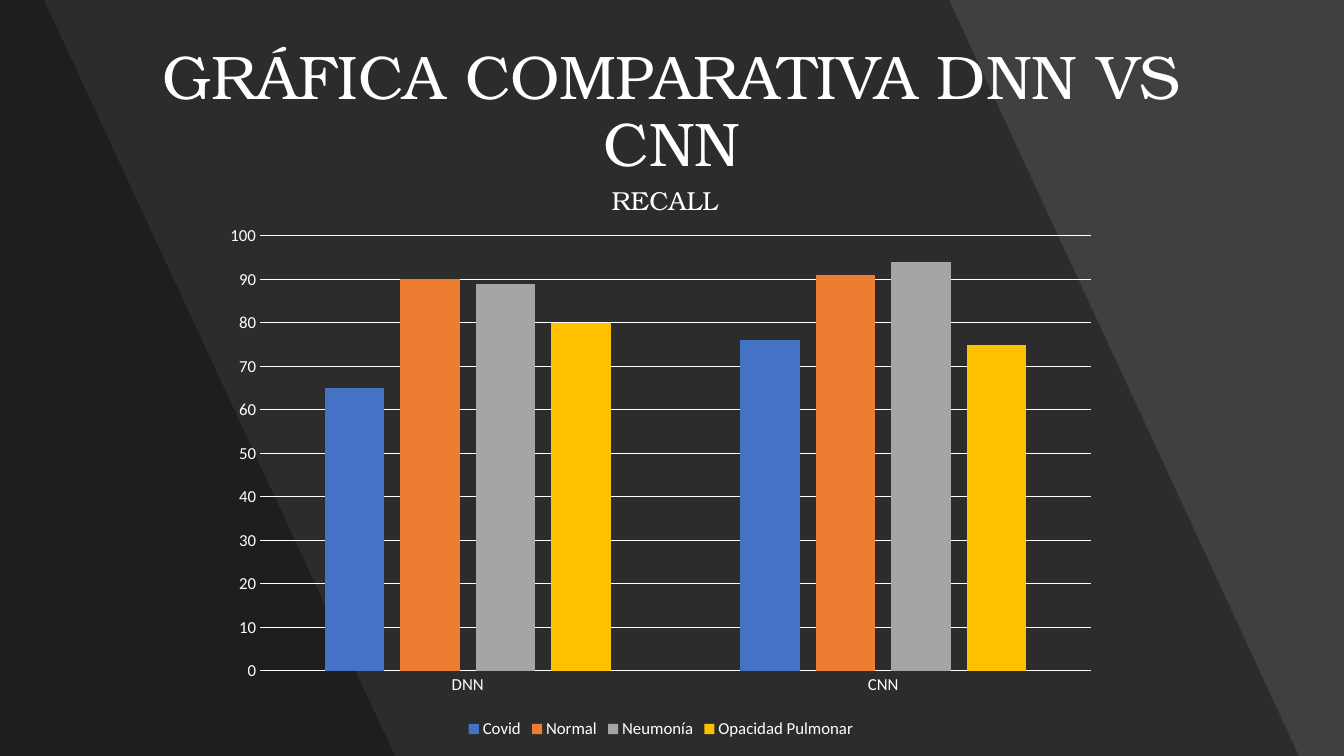
import lxml.etree
import pptx
import pptx.chart.data
import pptx.dml.color
import pptx.enum.chart
import pptx.enum.text
import pptx.oxml
import pptx.oxml.ns
import pptx.util

PX = 914400 / 100.8
THEME = {
    "background": "404040",
    "shade": "000000",
    "shade_alpha": 30000,
    "text": "FFFFFF",
    "heading_font": "TeX Gyre Bonum",
    "body_font": "Calibri",
    "title_size": 44,
    "chart_title_size": 18.6,
    "label_size": 12,
    "chart_size": 10,
    "line_width": 0.75,
}
SERIES = [
    ("Covid", (65, 76), "4472C4"),
    ("Normal", (90, 91), "ED7D31"),
    ("Neumonía", (89, 94), "A5A5A5"),
    ("Opacidad Pulmonar", (80, 75), "FFC000"),
]
CHART_BOX = (213, 145, 896, 598)
TEXT_COLOR = pptx.dml.color.RGBColor.from_string(THEME["text"])


def style_font(font, name, size):
    for attribute, value in {"name": name, "size": pptx.util.Pt(size), "bold": False}.items():
        setattr(font, attribute, value)
    font.color.rgb = TEXT_COLOR


def place_in_chart(element, index, **edges):
    """Give a chart part a fixed place; edges are slide px for x, y, w and h."""
    for old_layout in element.findall(pptx.oxml.ns.qn("c:layout")):
        element.remove(old_layout)
    left, top, width, height = CHART_BOX
    fractions = {
        "x": lambda px: (px - left) / width,
        "y": lambda px: (px - top) / height,
        "w": lambda px: px / width,
        "h": lambda px: px / height,
    }
    layout = pptx.oxml.parse_xml(f"<c:layout {pptx.oxml.ns.nsdecls('c')}><c:manualLayout/></c:layout>")
    settings = {"layoutTarget": "inner"} if "w" in edges else {}
    settings |= {"xMode": "edge", "yMode": "edge"}
    settings |= {edge: f"{fractions[edge](px):.4f}" for edge, px in edges.items()}
    for tag, value in settings.items():
        lxml.etree.SubElement(layout[0], pptx.oxml.ns.qn(f"c:{tag}")).set("val", value)
    element.insert(index, layout)


presentation = pptx.Presentation()
presentation.slide_width = round(1344 * PX)
presentation.slide_height = round(756 * PX)
slide = presentation.slides.add_slide(presentation.slide_layouts[6])
slide.background.fill.solid()
slide.background.fill.fore_color.rgb = pptx.dml.color.RGBColor.from_string(THEME["background"])

# Slanted shades
for top_right, bottom_right in ((949, 1299), (44, 395)):
    builder = slide.shapes.build_freeform(0, 0, scale=PX)
    builder.add_line_segments([(top_right, 0), (bottom_right, 756), (0, 756)], close=True)
    shade = builder.convert_to_shape()
    shade.shadow.inherit = False
    shade.line.fill.background()
    shade.fill.solid()
    shade.fill.fore_color.rgb = pptx.dml.color.RGBColor.from_string(THEME["shade"])
    color = shade.fill._xPr.find(".//" + pptx.oxml.ns.qn("a:srgbClr"))
    lxml.etree.SubElement(color, pptx.oxml.ns.qn("a:alpha")).set("val", str(THEME["shade_alpha"]))

# Title
title = slide.shapes.add_textbox(*(round(px * PX) for px in (92, 40, 1160, 146)))
title.text_frame.word_wrap = True
title.text_frame.vertical_anchor = pptx.enum.text.MSO_ANCHOR.MIDDLE
paragraph = title.text_frame.paragraphs[0]
paragraph.text = "GRÁFICA COMPARATIVA DNN VS CNN"
paragraph.alignment = pptx.enum.text.PP_ALIGN.CENTER
paragraph.line_spacing = 0.9
style_font(paragraph.runs[0].font, THEME["heading_font"], THEME["title_size"])

# Recall chart
chart_data = pptx.chart.data.CategoryChartData()
chart_data.categories = ["DNN", "CNN"]
for name, values, _ in SERIES:
    chart_data.add_series(name, values)
chart = slide.shapes.add_chart(
    pptx.enum.chart.XL_CHART_TYPE.COLUMN_CLUSTERED, *(round(px * PX) for px in CHART_BOX), chart_data
).chart
style_font(chart.font, THEME["body_font"], THEME["chart_size"])

chart.has_title = True
chart_title = chart.chart_title
chart_title.include_in_layout = False
chart_title.text_frame.text = "RECALL"
style_font(chart_title.text_frame.paragraphs[0].runs[0].font, THEME["heading_font"], THEME["chart_title_size"])
place_in_chart(chart_title._element, 1, x=607, y=174)

plot = chart.plots[0]
for attribute, value in {"gap_width": 219, "overlap": -27, "vary_by_categories": False}.items():
    setattr(plot, attribute, value)
for series, (_, _, color) in zip(plot.series, SERIES):
    series.format.fill.solid()
    series.format.fill.fore_color.rgb = pptx.dml.color.RGBColor.from_string(color)
place_in_chart(chart._chartSpace.chart.plotArea, 0, x=260, y=236, w=831, h=435)

value_axis, category_axis = chart.value_axis, chart.category_axis
for attribute, value in {
    "minimum_scale": 0,
    "maximum_scale": 100,
    "major_unit": 10,
    "has_major_gridlines": True,
}.items():
    setattr(value_axis, attribute, value)
for axis in (value_axis, category_axis):
    axis.major_tick_mark = pptx.enum.chart.XL_TICK_MARK.NONE
    axis.minor_tick_mark = pptx.enum.chart.XL_TICK_MARK.NONE
    style_font(axis.tick_labels.font, THEME["body_font"], THEME["label_size"])
value_axis.format.line.fill.background()
for line in (value_axis.major_gridlines.format.line, category_axis.format.line):
    line.color.rgb = TEXT_COLOR
    line.width = pptx.util.Pt(THEME["line_width"])

chart.has_legend = True
chart.legend.position = pptx.enum.chart.XL_LEGEND_POSITION.BOTTOM
chart.legend.include_in_layout = False
style_font(chart.legend.font, THEME["body_font"], THEME["label_size"])

presentation.save("out.pptx")
